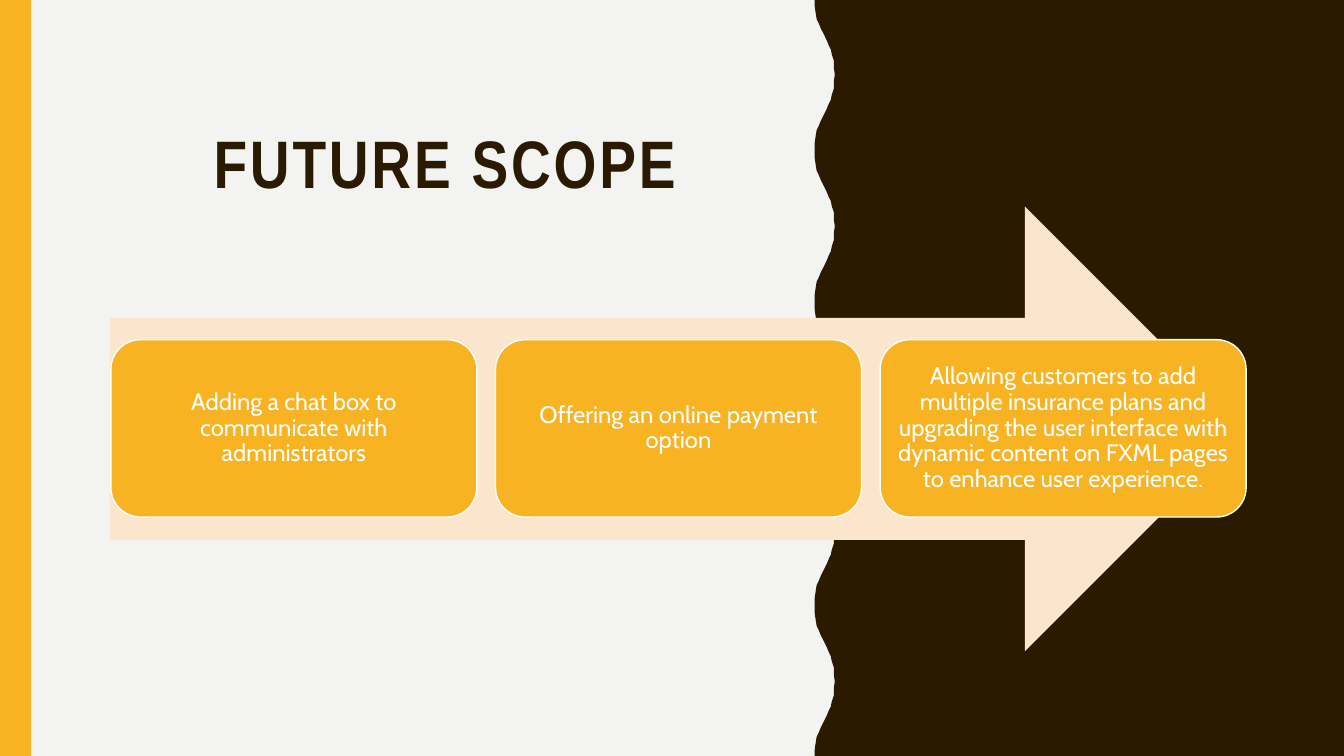
from pptx import Presentation
from pptx.dml.color import RGBColor
from pptx.enum.shapes import MSO_SHAPE
from pptx.enum.text import MSO_ANCHOR, PP_ALIGN
from pptx.util import Inches, Pt

RECTANGLE = MSO_SHAPE.RECTANGLE
ROUNDED = MSO_SHAPE.ROUNDED_RECTANGLE
ARROW = MSO_SHAPE.RIGHT_ARROW
BOTTOM, MIDDLE = MSO_ANCHOR.BOTTOM, MSO_ANCHOR.MIDDLE
LEFT, CENTER = PP_ALIGN.LEFT, PP_ALIGN.CENTER

COLORS = {
    "background": "F3F3F2",
    "brown": "2A1A00",
    "yellow": "F8B323",
    "peach": "FCE5CD",
    "white": "FFFFFF",
}


def paint(shape, color, outline=None):
    shape.shadow.inherit = False
    shape.fill.solid()
    shape.fill.fore_color.rgb = RGBColor.from_string(COLORS[color])
    if outline:
        shape.line.color.rgb = RGBColor.from_string(COLORS[outline])
        shape.line.width = Pt(1)
    else:
        shape.line.fill.background()


def write(shape, text, *, font, size, color, align, anchor,
          bold=False, line_spacing=1.0, tracking=0, margins=(0.1, 0.05)):
    frame = shape.text_frame
    frame.word_wrap = True
    frame.vertical_anchor = anchor
    frame.margin_left = frame.margin_right = Inches(margins[0])
    frame.margin_top = frame.margin_bottom = Inches(margins[1])
    paragraph = frame.paragraphs[0]
    paragraph.alignment = align
    paragraph.line_spacing = line_spacing
    run = paragraph.add_run()
    run.text = text
    run.font.name = font
    run.font.size = Pt(size)
    run.font.bold = bold
    run.font.color.rgb = RGBColor.from_string(COLORS[color])
    if tracking:
        run.font._element.set("spc", str(tracking * 100))


presentation = Presentation()
presentation.slide_width = Inches(13.33)
presentation.slide_height = Inches(7.5)
slide = presentation.slides.add_slide(presentation.slide_layouts[6])
slide.background.fill.solid()
slide.background.fill.fore_color.rgb = RGBColor.from_string(COLORS["background"])
shapes = slide.shapes

half_wave = [
    (0, 8.28), (0.07, 8.27), (0.14, 8.27), (0.2, 8.25), (0.25, 8.24),
    (0.29, 8.22), (0.34, 8.2), (0.38, 8.18), (0.42, 8.16), (0.46, 8.14),
    (0.51, 8.12), (0.55, 8.1), (0.61, 8.09), (0.68, 8.08), (0.75, 8.08),
]
full_wave = [(-y, x) for y, x in half_wave[:0:-1]] + half_wave
wave_edge = [
    (x, min(max(3.75 + 1.505 * crest + y, 0), 7.5))
    for crest in range(-2, 3)
    for y, x in full_wave
]
outline = [(13.33, 0), (13.33, 7.5)] + wave_edge[::-1]
builder = shapes.build_freeform(Inches(8.08), 0)
builder.add_line_segments([(Inches(x), Inches(y)) for x, y in outline], close=True)
paint(builder.convert_to_shape(), "brown")

side_bar = shapes.add_shape(RECTANGLE, 0, 0, Inches(0.31), Inches(7.5))
paint(side_bar, "yellow")

title = shapes.add_textbox(Inches(2.02), Inches(0.74), Inches(5.47), Inches(1.31))
write(title, "FUTURE SCOPE", font="Arial Narrow", size=48, color="brown",
      align=LEFT, anchor=BOTTOM, bold=True, tracking=2)

arrow = shapes.add_shape(ARROW, Inches(1.09), Inches(2.05), Inches(11.28), Inches(4.41))
paint(arrow, "peach")

plans = [
    "Adding a chat box to communicate with administrators",
    "Offering an online payment option",
    "Allowing customers to add multiple insurance plans and upgrading the user "
    "interface with dynamic content on FXML pages to enhance user experience.",
]
for index, plan in enumerate(plans):
    card = shapes.add_shape(ROUNDED, Inches(1.1 + 3.815 * index), Inches(3.37),
                            Inches(3.63), Inches(1.76))
    paint(card, "yellow", outline="white")
    write(card, plan, font="Cabin", size=17, color="white", align=CENTER,
          anchor=MIDDLE, line_spacing=0.9, margins=(0.07, 0.07))

presentation.save("out.pptx")
